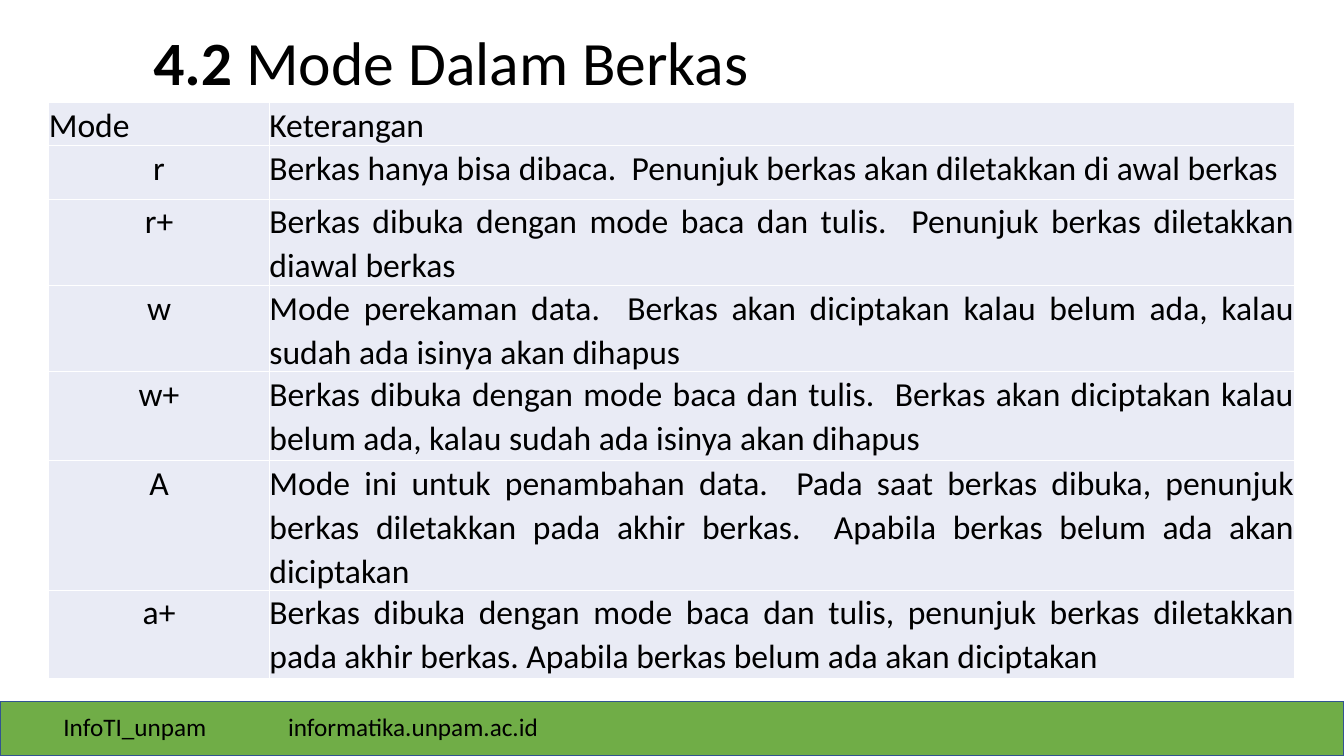
from dataclasses import dataclass

from lxml import etree
from pptx import Presentation
from pptx import util as u
from pptx.dml.color import RGBColor
from pptx.enum import shapes, text
from pptx.oxml import ns

FONT = "Calibri"
HUES = {"ink": "000000", "cell": "E9EBF5", "rule": "FFFFFF", "bar": "70AD47", "edge": "325491"}


@dataclass
class Mode:
    key: str
    note: str
    tall: float


@dataclass
class Label:
    words: str
    left: float
    wide: float


MODES = [
    Mode("Mode", "Keterangan", 0.58),
    Mode("r", "Berkas hanya bisa dibaca.  Penunjuk berkas akan diletakkan di awal berkas", 1.35),
    Mode("r+", "Berkas dibuka dengan mode baca dan tulis.  Penunjuk berkas diletakkan diawal berkas", 1.73),
    Mode("w", "Mode perekaman data.  Berkas akan diciptakan kalau belum ada, kalau sudah ada isinya "
         "akan dihapus", 1.78),
    Mode("w+", "Berkas dibuka dengan mode baca dan tulis.  Berkas akan diciptakan kalau belum ada, kalau "
         "sudah ada isinya akan dihapus", 2.24),
    Mode("A", "Mode ini untuk penambahan data.  Pada saat berkas dibuka, penunjuk berkas diletakkan pada "
         "akhir berkas.  Apabila berkas belum ada akan diciptakan", 2.67),
    Mode("a+", "Berkas dibuka dengan mode baca dan tulis, penunjuk berkas diletakkan pada akhir berkas. "
         "Apabila berkas belum ada akan diciptakan", 2.24),
]
LABELS = [Label("InfoTI_unpam", 1.35, 4.98), Label("informatika.unpam.ac.id", 7.01, 7.49)]
COLS = [5.56, 25.83]


def hue(name: str) -> RGBColor:
    return RGBColor.from_string(HUES[name])


def style(run, size: int, bold: bool = False) -> None:
    run.font.name = FONT
    run.font.size = u.Pt(size)
    run.font.bold = bold
    run.font.color.rgb = hue("ink")


def add_title(slide) -> None:
    title = slide.shapes.title
    title.left, title.top, title.width, title.height = u.Cm(2.34), u.Cm(-0.2), u.Cm(29.21), u.Cm(3.68)
    frame = title.text_frame
    frame.auto_size = text.MSO_AUTO_SIZE.NONE
    frame.vertical_anchor = text.MSO_ANCHOR.MIDDLE
    para = frame.paragraphs[0]
    para.alignment = text.PP_ALIGN.LEFT
    para.line_spacing = 0.9
    props = para._p.get_or_add_pPr()
    props.set("marL", str(u.Cm(1.27)))
    props.set("indent", "0")
    for words, bold in (("4.2 ", True), ("Mode Dalam Berkas", False)):
        run = para.add_run()
        run.text = words
        style(run, 44, bold)


def add_rules(cell) -> None:
    """Put a thin line on each side of a cell."""
    props = cell._tc.get_or_add_tcPr()
    for place, side in enumerate(("lnL", "lnR", "lnT", "lnB")):
        line = etree.Element(ns.qn(f"a:{side}"), w=str(u.Pt(1)))
        fill = etree.SubElement(line, ns.qn("a:solidFill"))
        etree.SubElement(fill, ns.qn("a:srgbClr"), val=HUES["rule"])
        props.insert(place, line)


def fill_cell(cell, words: str, align: text.PP_ALIGN) -> None:
    cell.margin_left = cell.margin_right = cell.margin_top = cell.margin_bottom = 0
    cell.fill.solid()
    cell.fill.fore_color.rgb = hue("cell")
    add_rules(cell)
    para = cell.text_frame.paragraphs[0]
    para.text = words
    para.alignment = align
    para.line_spacing = 1.07
    style(para.runs[0], 24)


def add_modes(slide) -> None:
    tall = sum(mode.tall for mode in MODES)
    frame = slide.shapes.add_table(len(MODES), len(COLS), u.Cm(1.23), u.Cm(2.58), u.Cm(sum(COLS)), u.Cm(tall))
    table = frame.table
    for col, wide in zip(table.columns, COLS):
        col.width = u.Cm(wide)
    for row, mode in enumerate(MODES):
        table.rows[row].height = u.Cm(mode.tall)
        align = text.PP_ALIGN.CENTER if row else text.PP_ALIGN.JUSTIFY
        fill_cell(table.cell(row, 0), mode.key, align)
        fill_cell(table.cell(row, 1), mode.note, text.PP_ALIGN.JUSTIFY)


def add_bar(slide, wide: int) -> None:
    bar = slide.shapes.add_shape(shapes.MSO_SHAPE.FLOWCHART_PROCESS, 0, u.Cm(17.68), wide, u.Cm(1.37))
    bar.shadow.inherit = False
    bar.fill.solid()
    bar.fill.fore_color.rgb = hue("bar")
    bar.line.color.rgb = hue("edge")
    bar.line.width = u.Pt(1)


def add_label(slide, label: Label) -> None:
    box = slide.shapes.add_textbox(u.Cm(label.left), u.Cm(17.81), u.Cm(label.wide), u.Cm(1.03))
    frame = box.text_frame
    frame.word_wrap = True
    frame.auto_size = text.MSO_AUTO_SIZE.SHAPE_TO_FIT_TEXT
    frame.text = label.words
    style(frame.paragraphs[0].runs[0], 18)


def main() -> None:
    deck = Presentation()
    deck.slide_width, deck.slide_height = u.Cm(33.87), u.Cm(19.05)
    slide = deck.slides.add_slide(deck.slide_layouts[5])
    add_bar(slide, deck.slide_width)
    for label in LABELS:
        add_label(slide, label)
    add_title(slide)
    add_modes(slide)
    deck.save("out.pptx")


if __name__ == "__main__":
    main()
